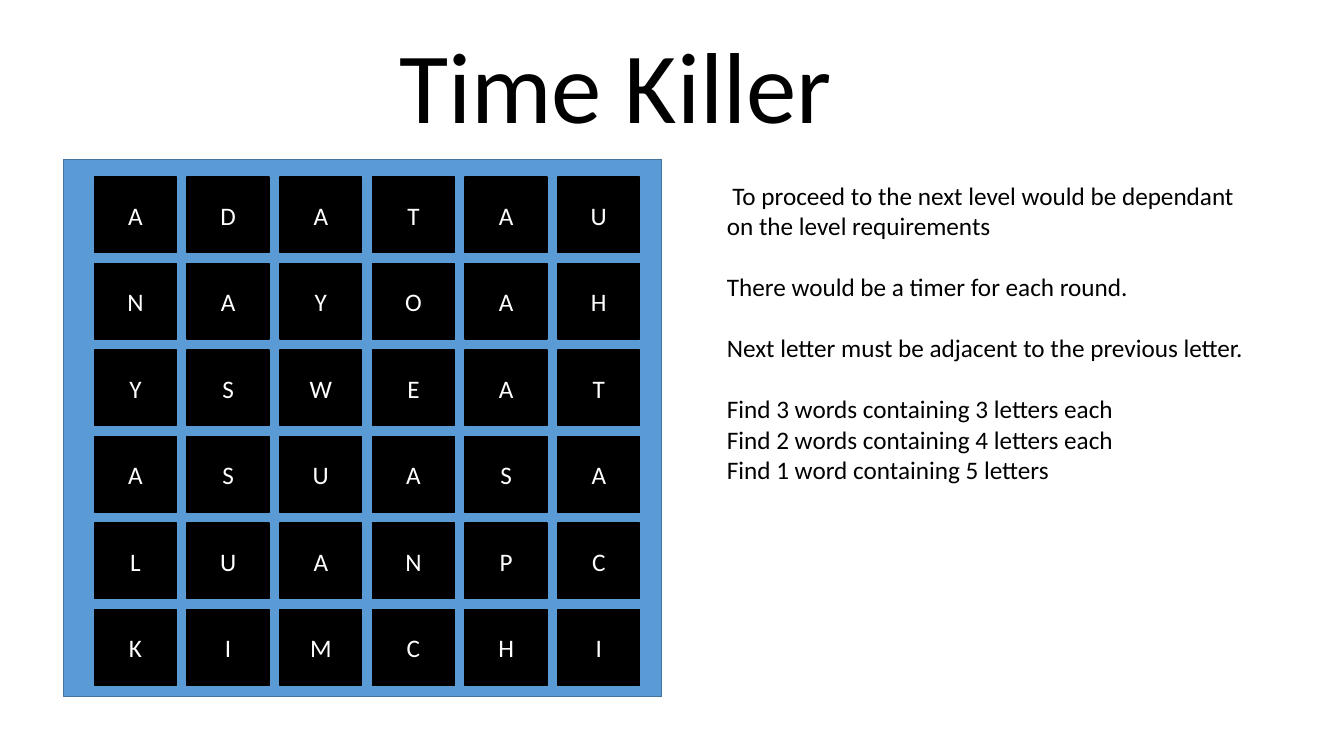
from dataclasses import dataclass

from pptx import Presentation
from pptx.dml.color import RGBColor
from pptx.enum.shapes import MSO_SHAPE
from pptx.enum.text import MSO_ANCHOR, MSO_AUTO_SIZE, PP_ALIGN
from pptx.oxml.ns import qn
from pptx.util import Pt


@dataclass(frozen=True)
class Theme:
    font: str = "Calibri"
    ink: str = "000000"
    paper: str = "FFFFFF"
    panel: str = "5B9BD5"
    edge: str = "43739E"
    head: int = 72
    body: int = 18


THEME = Theme()
ROWS = ["ADATAU", "NAYOAH", "YSWEAT", "ASUASA", "LUANPC", "KIMCHI"]
LEFT, TOP = 67.5, 126.5
STEP_X, STEP_Y = 66.2, 61.8
TILE_W, TILE_H = 58.5, 54
RULES = [
    ("To proceed to the next level would be dependant "
     "on the level requirements", 0, 4),
    ("There would be a timer for each round.", 22, 0),
    ("Next letter must be adjacent to the previous letter.", 22, 0),
    ("Find 3 words containing 3 letters each", 22, 0),
    ("Find 2 words containing 4 letters each", 0, 0),
    ("Find 1 word containing 5 letters", 0, 0),
]


def color(code):
    return RGBColor.from_string(code)


def write(para, text, size=THEME.body, ink=THEME.ink, align=PP_ALIGN.LEFT,
          before=0, margin=0, indent=0):
    run = para.add_run()
    run.text = text
    run.font.name = THEME.font
    run.font.size = Pt(size)
    run.font.color.rgb = color(ink)
    para.alignment = align
    para.space_before = Pt(before)
    para.space_after = Pt(0)
    props = para._p.get_or_add_pPr()
    props.set("marL", str(Pt(margin)))
    props.set("indent", str(Pt(indent)))
    props.append(props.makeelement(qn("a:buNone"), {}))


def place(holder, left, top, width, height, anchor):
    holder.left, holder.top = Pt(left), Pt(top)
    holder.width, holder.height = Pt(width), Pt(height)
    frame = holder.text_frame
    frame.word_wrap = True
    frame.auto_size = MSO_AUTO_SIZE.NONE
    frame.vertical_anchor = anchor
    return frame


def block(slide, left, top, width, height, fill, edge):
    shape = slide.shapes.add_shape(
        MSO_SHAPE.RECTANGLE, Pt(left), Pt(top), Pt(width), Pt(height))
    shape.shadow.inherit = False
    shape.fill.solid()
    shape.fill.fore_color.rgb = color(fill)
    shape.line.color.rgb = color(edge)
    shape.line.width = Pt(1)
    return shape


def tile(slide, left, top, letter):
    shape = block(slide, left, top, TILE_W, TILE_H, THEME.ink, THEME.ink)
    frame = shape.text_frame
    frame.vertical_anchor = MSO_ANCHOR.MIDDLE
    write(frame.paragraphs[0], letter, ink=THEME.paper, align=PP_ALIGN.CENTER)


def board(slide):
    block(slide, 45.4, 113.8, 427, 383.8, THEME.panel, THEME.edge)
    for row, word in enumerate(ROWS):
        for col, letter in enumerate(word):
            tile(slide, LEFT + col * STEP_X, TOP + row * STEP_Y, letter)


def rules(holder):
    frame = place(holder, 512, 125.3, 399.6, 269.3, MSO_ANCHOR.TOP)
    for index, (text, before, indent) in enumerate(RULES):
        para = frame.add_paragraph() if index else frame.paragraphs[0]
        write(para, text, before=before, indent=indent)


def main():
    deck = Presentation()
    deck.slide_width, deck.slide_height = Pt(960), Pt(540)
    slide = deck.slides.add_slide(deck.slide_layouts[1])
    title = place(slide.shapes.title, 165, 12.2, 572.4, 94.3,
                  MSO_ANCHOR.MIDDLE)
    write(title.paragraphs[0], "Time Killer", size=THEME.head, margin=113)
    board(slide)
    rules(slide.placeholders[1])
    deck.save("out.pptx")


main()
